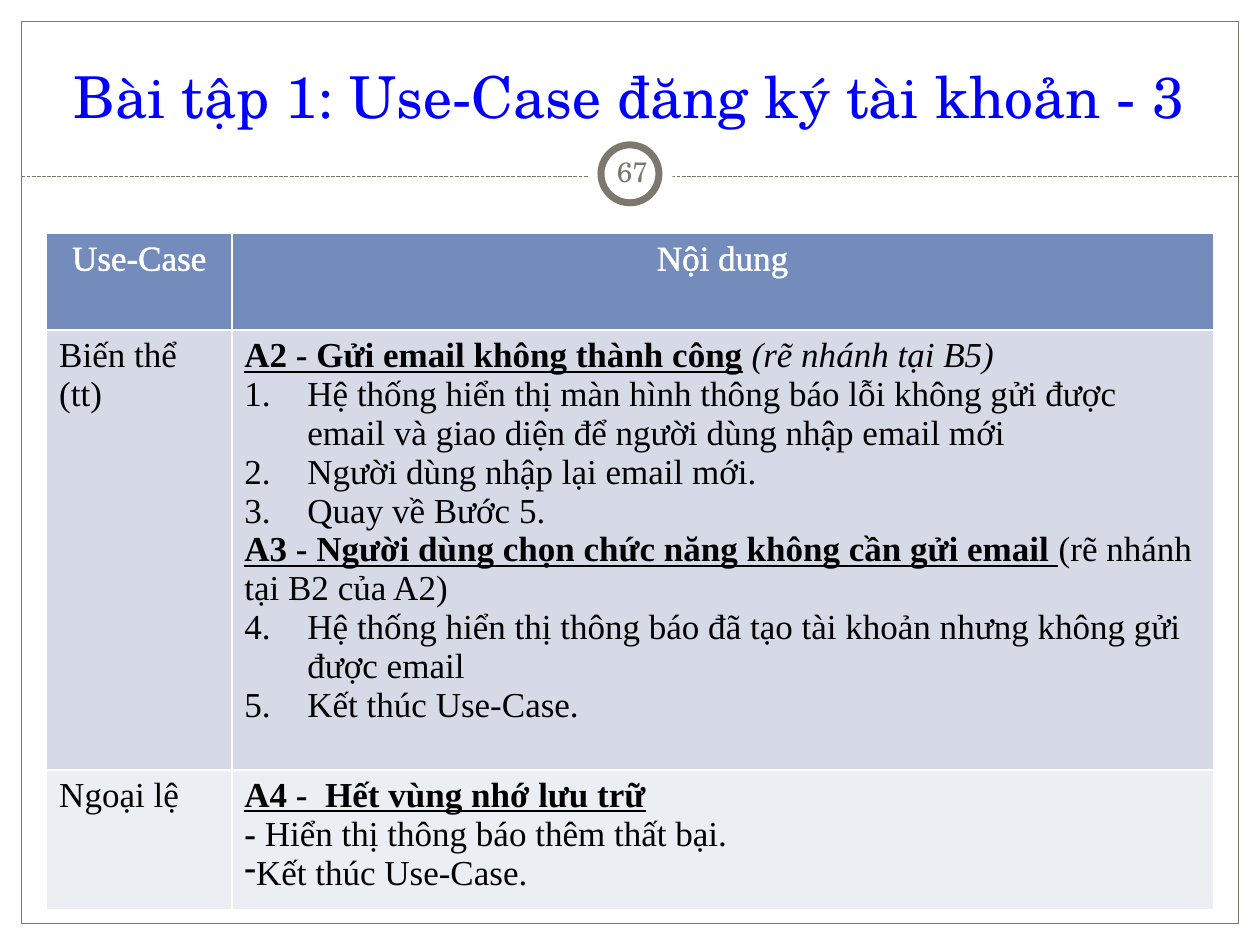
import dataclasses
import typing

import pptx
import pptx.dml.color
import pptx.enum.dml
import pptx.enum.shapes
import pptx.enum.text
import pptx.oxml
import pptx.oxml.ns
import pptx.util

Inches = pptx.util.Inches
Pt = pptx.util.Pt
Align = pptx.enum.text.PP_ALIGN
Anchor = pptx.enum.text.MSO_ANCHOR
Preset = pptx.enum.shapes.MSO_SHAPE

COLORS = {
    "white": "FFFFFF",
    "black": "000000",
    "frame": "7D786D",
    "title": "0000FF",
    "header": "748CBC",
    "odd_row": "D6DAE7",
    "even_row": "EBEEF3",
}
HEADING_FONT = "TeX Gyre Schola"
TABLE_FONT = "Times New Roman"
NAMESPACE = pptx.oxml.ns.nsdecls("a")


@dataclasses.dataclass
class Run:
    text: str
    bold: bool = False
    underline: bool = False
    italic: bool = False


@dataclasses.dataclass
class Line:
    runs: list[Run]
    number: int = 0  # position in the numbered list, 0 for none
    dash: bool = False


@dataclasses.dataclass
class Style:
    font: str
    size: float
    color: str
    align: typing.Any = Align.LEFT
    outlined: bool = False


def plain(text: str) -> Line:
    return Line([Run(text)])


def step(number: int, text: str) -> Line:
    return Line([Run(text)], number=number)


def heading(text: str) -> Run:
    return Run(text, bold=True, underline=True)


def rgb(name: str) -> pptx.dml.color.RGBColor:
    return pptx.dml.color.RGBColor.from_string(COLORS[name])


def element(xml: str) -> typing.Any:
    """Parse one drawing element, declaring its namespace."""
    tag, rest = xml[:xml.index(" ")], xml[xml.index(" "):]
    return pptx.oxml.parse_xml(f"{tag} {NAMESPACE}{rest}")


def color_line(tag: str, points: float, color: str) -> typing.Any:
    return element(
        f'<a:{tag} w="{Pt(points)}"><a:solidFill>'
        f'<a:srgbClr val="{COLORS[color]}"/></a:solidFill></a:{tag}>'
    )


def add_bullet(paragraph, line: Line, first_number: int) -> None:
    properties = paragraph._p.get_or_add_pPr()
    if line.number:
        properties.set("marL", str(Inches(0.5)))
        properties.set("indent", str(-Inches(0.5)))
        properties.append(element(
            f'<a:buAutoNum type="arabicPeriod" startAt="{first_number}"/>'))
    elif line.dash:
        properties.set("marL", "0")
        properties.set("indent", "0")
        properties.append(element('<a:buChar char="-"/>'))


def write_lines(frame, lines: list[Line], style: Style) -> None:
    first_number = 0
    for index, line in enumerate(lines):
        paragraph = frame.add_paragraph() if index else frame.paragraphs[0]
        paragraph.alignment = style.align
        first_number = (first_number or line.number) if line.number else 0
        add_bullet(paragraph, line, first_number)
        for part in line.runs:
            run = paragraph.add_run()
            run.text = part.text
            run.font.name = style.font
            run.font.size = Pt(style.size)
            run.font.color.rgb = rgb(style.color)
            run.font.bold = part.bold
            run.font.underline = part.underline
            run.font.italic = part.italic
            if style.outlined:
                run._r.get_or_add_rPr().insert(0, color_line("ln", 0.75, style.color))


def add_outline(slide, preset, left: float, top: float, width: float,
                height: float, fill: str = "", line_width: float = 0) -> None:
    shape = slide.shapes.add_shape(
        preset, Inches(left), Inches(top), Inches(width), Inches(height))
    shape.shadow.inherit = False
    if fill:
        shape.fill.solid()
        shape.fill.fore_color.rgb = rgb(fill)
    else:
        shape.fill.background()
    if line_width:
        shape.line.color.rgb = rgb("frame")
        shape.line.width = Pt(line_width)
    else:
        shape.line.fill.background()


def add_divider(slide) -> None:
    line = slide.shapes.add_connector(
        pptx.enum.shapes.MSO_CONNECTOR.STRAIGHT,
        Inches(0.17), Inches(1.4), Inches(9.83), Inches(1.4))
    line.line.color.rgb = rgb("frame")
    line.line.width = Pt(0.75)
    line.line.dash_style = pptx.enum.dml.MSO_LINE.SQUARE_DOT
    line._element.spPr.append(element("<a:effectLst />"))


def add_text(slide, left: float, top: float, width: float, height: float,
             text: str, style: Style, anchor, inset: float) -> None:
    box = slide.shapes.add_textbox(
        Inches(left), Inches(top), Inches(width), Inches(height))
    frame = box.text_frame
    frame.word_wrap = True
    frame.vertical_anchor = anchor
    frame.margin_left = frame.margin_right = Inches(inset)
    frame.margin_top = frame.margin_bottom = Inches(0.05)
    write_lines(frame, [plain(text)], style)


def add_use_case_table(slide, rows: list[list[list[Line]]]) -> None:
    widths, heights = [1.47, 7.79], [0.77, 3.49, 1.11]
    table = slide.shapes.add_table(
        len(heights), len(widths), Inches(0.37), Inches(1.85),
        Inches(sum(widths)), Inches(sum(heights))).table
    for column, width in zip(table.columns, widths):
        column.width = Inches(width)
    for row, height in zip(table.rows, heights):
        row.height = Inches(height)

    header_style = Style(TABLE_FONT, 20, "white", Align.CENTER, outlined=True)
    body_style = Style(TABLE_FONT, 20, "black")
    fills = ["header", "odd_row", "even_row"]
    for row_index, cells in enumerate(rows):
        for column_index, lines in enumerate(cells):
            cell = table.cell(row_index, column_index)
            cell.fill.solid()
            cell.fill.fore_color.rgb = rgb(fills[row_index])
            properties = cell._tc.get_or_add_tcPr()
            for position, side in enumerate(["lnL", "lnR", "lnT", "lnB"]):
                properties.insert(position, color_line(side, 1, "white"))
            write_lines(cell.text_frame, lines,
                        body_style if row_index else header_style)


USE_CASE_ROWS = [
    [[plain("Use-Case")], [plain("Nội dung")]],
    [[plain("Biến thể"), plain("(tt)")], [
        Line([heading("A2 - Gửi email không thành công"),
              Run(" ", bold=True, italic=True),
              Run("(rẽ nhánh tại B5)", italic=True)]),
        step(1, "Hệ thống hiển thị màn hình thông báo lỗi không gửi được "
                "email và giao diện để người dùng nhập email mới"),
        step(2, "Người dùng nhập lại email mới."),
        step(3, "Quay về Bước 5."),
        Line([heading("A3 - Người dùng chọn chức năng không cần gửi email "),
              Run("(rẽ nhánh tại B2 của A2)")]),
        step(4, "Hệ thống hiển thị thông báo đã tạo tài khoản nhưng không gửi "
                "được email"),
        step(5, "Kết thúc Use-Case."),
    ]],
    [[plain("Ngoại lệ")], [
        Line([heading("A4 -  Hết vùng nhớ lưu trữ")]),
        Line([Run("- ", bold=True), Run("Hiển thị thông báo thêm thất bại.")]),
        Line([Run("Kết thúc Use-Case.")], dash=True),
    ]],
]


def main() -> None:
    presentation = pptx.Presentation()
    presentation.slide_width = Inches(10)
    presentation.slide_height = Inches(7.5)
    slide = presentation.slides.add_slide(presentation.slide_layouts[6])

    # Frame, divider and number badge
    add_outline(slide, Preset.RECTANGLE, 0.17, 0.17, 9.66, 7.16, line_width=0.75)
    add_divider(slide)
    add_outline(slide, Preset.OVAL, 4.67, 1.05, 0.67, 0.67, fill="white")
    add_outline(slide, Preset.OVAL, 4.77, 1.15, 0.46, 0.46, fill="white", line_width=4)

    # Title, table and slide number
    add_text(slide, 0.33, 0.25, 9.33, 0.83, "Bài tập 1: Use-Case đăng ký tài khoản - 3",
             Style(HEADING_FONT, 33, "title", Align.CENTER), Anchor.BOTTOM, 0.1)
    add_use_case_table(slide, USE_CASE_ROWS)
    add_text(slide, 4.77, 1.12, 0.5, 0.48, "67",
             Style(HEADING_FONT, 16, "frame", Align.CENTER), Anchor.MIDDLE, 0.05)

    presentation.save("out.pptx")


if __name__ == "__main__":
    main()
